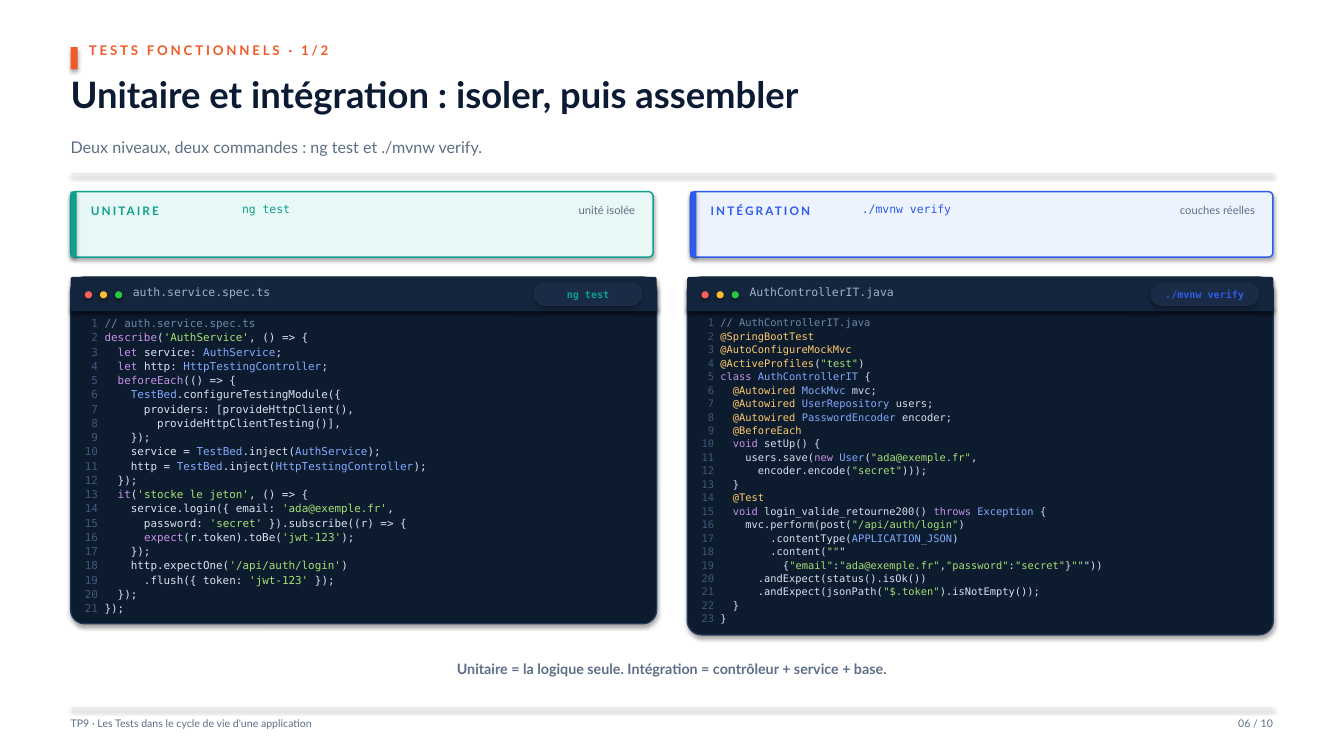
"""Build the slide comparing unit tests and integration tests."""
import dataclasses
import itertools
import typing

import pptx
import pptx.dml.color
import pptx.enum.shapes
import pptx.enum.text
import pptx.shapes.autoshape
import pptx.slide
import pptx.text.text
import pptx.util

Cm = pptx.util.Cm
RGB = pptx.dml.color.RGBColor
Align = pptx.enum.text.PP_ALIGN
Anchor = pptx.enum.text.MSO_ANCHOR
Box = tuple[float, float, float, float]

WHITE, ORANGE = RGB(0xFF, 0xFF, 0xFF), RGB(0xF0, 0x5A, 0x28)
NAVY, SLATE, RULE = RGB(0x0B, 0x1B, 0x33), RGB(0x5D, 0x6E, 0x86), RGB(0xDC, 0xE5, 0xF2)
TEAL, TEAL_TINT = RGB(0x0E, 0x9F, 0x8E), RGB(0xE8, 0xF8, 0xF6)
BLUE, BLUE_TINT = RGB(0x2F, 0x5B, 0xEA), RGB(0xED, 0xF3, 0xFE)
EDITOR, EDITOR_EDGE = RGB(0x0D, 0x1B, 0x2E), RGB(0x23, 0x39, 0x5A)
TITLE_BAR, PILL, FILE_NAME = RGB(0x14, 0x26, 0x3D), RGB(0x1A, 0x2C, 0x45), RGB(0x9D, 0xB2, 0xCE)
DOTS = (RGB(0xFF, 0x5F, 0x57), RGB(0xFE, 0xBC, 0x2E), RGB(0x28, 0xC8, 0x40))
LINE_NUMBER, COMMENT, PLAIN = RGB(0x40, 0x57, 0x7A), RGB(0x6F, 0x86, 0xA6), RGB(0xD7, 0xE3, 0xF4)
KEYWORD, TYPE = RGB(0xC7, 0x92, 0xEA), RGB(0x82, 0xAA, 0xFF)
STRING, ANNOTATION = RGB(0xA5, 0xE0, 0x75), RGB(0xFF, 0xCB, 0x6B)

KEYWORDS = {"describe", "let", "beforeEach", "it", "expect", "class", "void", "new", "throws"}
SANS, MONO = "Lato", "DejaVu Sans Mono"
MARGIN, CONTENT_WIDTH = 1.78, 30.3
CARD_TOP, CARD_WIDTH, CARD_HEIGHT = 4.83, 14.68, 1.65
EDITOR_TOP, EDITOR_WIDTH, PADDING = 6.98, 14.77, 0.36

UNIT_CODE = """// auth.service.spec.ts
describe('AuthService', () => {
  let service: AuthService;
  let http: HttpTestingController;
  beforeEach(() => {
    TestBed.configureTestingModule({
      providers: [provideHttpClient(),
        provideHttpClientTesting()],
    });
    service = TestBed.inject(AuthService);
    http = TestBed.inject(HttpTestingController);
  });
  it('stocke le jeton', () => {
    service.login({ email: 'ada@exemple.fr',
      password: 'secret' }).subscribe((r) => {
      expect(r.token).toBe('jwt-123');
    });
    http.expectOne('/api/auth/login')
      .flush({ token: 'jwt-123' });
  });
});"""

INTEGRATION_CODE = '''// AuthControllerIT.java
@SpringBootTest
@AutoConfigureMockMvc
@ActiveProfiles("test")
class AuthControllerIT {
  @Autowired MockMvc mvc;
  @Autowired UserRepository users;
  @Autowired PasswordEncoder encoder;
  @BeforeEach
  void setUp() {
    users.save(new User("ada@exemple.fr",
      encoder.encode("secret")));
  }
  @Test
  void login_valide_retourne200() throws Exception {
    mvc.perform(post("/api/auth/login")
        .contentType(APPLICATION_JSON)
        .content("""
          {"email":"ada@exemple.fr","password":"secret"}"""))
      .andExpect(status().isOk())
      .andExpect(jsonPath("$.token").isNotEmpty());
  }
}'''


@dataclasses.dataclass(frozen=True)
class Level:
    label: str
    command: str
    note: str
    accent: RGB
    tint: RGB
    card_left: float
    editor_left: float
    editor_height: float
    file_name: str
    code: str
    quote: str
    code_size: float
    line_pitch: float
    code_width: float


LEVELS = (
    Level("UNITAIRE", "ng test", "unité isolée", TEAL, TEAL_TINT, MARGIN, MARGIN, 8.74,
          "auth.service.spec.ts", UNIT_CODE, "'", 7.8, 10.2, 8.7),
    Level("INTÉGRATION", "./mvnw verify", "couches réelles", BLUE, BLUE_TINT, 17.4, 17.32, 9.02,
          "AuthControllerIT.java", INTEGRATION_CODE, '"', 7.4, 9.6, 10.2),
)


def add_block(slide: pptx.slide.Slide, box: Box, fill: RGB, radius: float | None = None,
              edge: RGB | None = None, edge_width: float = 1) -> pptx.shapes.autoshape.Shape:
    kinds = pptx.enum.shapes.MSO_SHAPE
    kind = kinds.RECTANGLE if radius is None else kinds.ROUNDED_RECTANGLE
    block = slide.shapes.add_shape(kind, *map(Cm, box))
    if radius is not None:
        block.adjustments[0] = radius
    block.fill.solid()
    block.fill.fore_color.rgb = fill
    if edge is None:
        block.line.fill.background()
    else:
        block.line.color.rgb = edge
        block.line.width = pptx.util.Pt(edge_width)
    return block


def add_frame(slide: pptx.slide.Slide, box: Box, **options: typing.Any) -> pptx.text.text.TextFrame:
    frame = slide.shapes.add_textbox(*map(Cm, box)).text_frame
    layout = {"margin_left": 0, "margin_top": 0, "margin_right": 0, "margin_bottom": 0,
              "word_wrap": True, "vertical_anchor": Anchor.TOP,
              "auto_size": pptx.enum.text.MSO_AUTO_SIZE.SHAPE_TO_FIT_TEXT}
    for name, value in (layout | options).items():
        setattr(frame, name, value)
    return frame


def add_run(paragraph: pptx.text.text._Paragraph, text: str, size: float, color: RGB,
            font: str = SANS, bold: bool = False, tracking: float = 0) -> None:
    run = paragraph.add_run()
    run.text = text
    for name, value in {"name": font, "size": pptx.util.Pt(size), "bold": bold}.items():
        setattr(run.font, name, value)
    run.font.color.rgb = color
    if tracking:
        run.font._element.set("spc", str(round(tracking * 100)))


def add_label(slide: pptx.slide.Slide, box: Box, text: str, size: float, color: RGB,
              align: Align = Align.LEFT, anchor: Anchor = Anchor.TOP, **style: typing.Any) -> None:
    paragraph = add_frame(slide, box, vertical_anchor=anchor).paragraphs[0]
    paragraph.alignment = align
    add_run(paragraph, text, size, color, **style)


def word_color(word: str) -> RGB:
    if word in KEYWORDS:
        return KEYWORD
    if word.startswith("@"):
        return ANNOTATION
    return TYPE if word[0].isupper() else PLAIN


def highlight(line: str, quote: str) -> list[tuple[str, RGB]]:
    if line.startswith("//"):
        return [(line, COMMENT)]
    tokens: list[tuple[str, RGB]] = []
    pieces = line.split(quote)
    for index, piece in enumerate(pieces):
        if index % 2 and index < len(pieces) - 1:
            tokens.append((quote + piece + quote, STRING))
            continue
        plain = quote + piece if index % 2 else piece
        for _, letters in itertools.groupby(plain, lambda c: c.isalnum() or c in "_@"):
            word = "".join(letters)
            tokens.append((word, word_color(word)))
    return [("".join(text for text, _ in group), color)
            for color, group in itertools.groupby(tokens, lambda token: token[1])]


def add_card(slide: pptx.slide.Slide, level: Level) -> None:
    left, top = level.card_left, CARD_TOP + 0.3
    add_block(slide, (left, CARD_TOP, CARD_WIDTH, CARD_HEIGHT), level.tint, 0.07, level.accent)
    add_block(slide, (left, CARD_TOP, 0.15, CARD_HEIGHT), level.accent)
    add_label(slide, (left + 0.51, top, 3.81, 0.36), level.label, 8.4, level.accent,
              bold=True, tracking=1.5)
    add_label(slide, (left + 4.32, top - 0.05, 6.6, 0.36), level.command, 8.2,
              level.accent, font=MONO)
    add_label(slide, (left + 9.91, top, 4.32, 0.33), level.note, 8, SLATE, Align.RIGHT)


def add_editor(slide: pptx.slide.Slide, level: Level) -> None:
    left, top, inner = level.editor_left, EDITOR_TOP, level.editor_left + PADDING
    add_block(slide, (left, top, EDITOR_WIDTH, level.editor_height), EDITOR, 0.04,
              EDITOR_EDGE, 0.91)
    add_block(slide, (left, top, EDITOR_WIDTH, 0.86), TITLE_BAR, 0.06)
    add_block(slide, (left, top + 0.71, EDITOR_WIDTH, 0.15), TITLE_BAR)
    for index, color in enumerate(DOTS):
        add_block(slide, (inner + index * 0.38, top + 0.36, 0.18, 0.18), color, 0.5)
    add_label(slide, (left + 1.57, top + 0.2, 10.08, 0.36), level.file_name, 8.2, FILE_NAME,
              font=MONO)
    pill_left = left + EDITOR_WIDTH - PADDING - 2.74
    add_block(slide, (pill_left, top + 0.15, 2.74, 0.58), PILL, 0.5)
    add_label(slide, (pill_left, top + 0.28, 2.74, 0.3), level.command, 7.2, level.accent,
              Align.CENTER, Anchor.MIDDLE, font=MONO, bold=True)
    lines = level.code.splitlines()
    height = pptx.util.Pt(level.line_pitch * len(lines)).cm
    frame = add_frame(slide, (inner, top + 0.97, level.code_width, height), word_wrap=False)
    for number, line in enumerate(lines, 1):
        paragraph = frame.paragraphs[0] if number == 1 else frame.add_paragraph()
        paragraph.line_spacing = pptx.util.Pt(level.line_pitch)
        for text, color in [(f"{number:>2} ", LINE_NUMBER), *highlight(line, level.quote)]:
            add_run(paragraph, text, level.code_size, color, MONO)


def main() -> None:
    deck = pptx.Presentation()
    deck.slide_width, deck.slide_height = Cm(33.87), Cm(19.05)
    slide = deck.slides.add_slide(deck.slide_layouts[6])
    add_block(slide, (0, 0, 33.87, 19.05), WHITE)
    add_block(slide, (MARGIN, 1.19, 0.18, 0.56), ORANGE)
    add_label(slide, (2.24, 1.07, 24.13, 0.41), "TESTS FONCTIONNELS · 1/2", 9.5, ORANGE,
              bold=True, tracking=2)
    add_label(slide, (MARGIN, 1.83, CONTENT_WIDTH, 1.09),
              "Unitaire et intégration : isoler, puis assembler", 26, NAVY, bold=True)
    add_label(slide, (MARGIN, 3.46, CONTENT_WIDTH, 0.48),
              "Deux niveaux, deux commandes : ng test et ./mvnw verify.", 11.5, SLATE)
    for rule_top in (4.37, 17.83):
        add_block(slide, (MARGIN, rule_top, CONTENT_WIDTH, 0.02), RULE)
    add_label(slide, (MARGIN, 18.06, 20.32, 0.33),
              "TP9 · Les Tests dans le cycle de vie d'une application", 7.5, SLATE)
    add_label(slide, (29.03, 18.06, 3.05, 0.33), "06 / 10", 7.5, SLATE, Align.RIGHT)
    for level in LEVELS:
        add_card(slide, level)
        add_editor(slide, level)
    add_label(slide, (MARGIN, 16.64, CONTENT_WIDTH, 0.43),
              "Unitaire = la logique seule. Intégration = contrôleur + service + base.",
              10.2, SLATE, Align.CENTER, bold=True)
    deck.save("out.pptx")


if __name__ == "__main__":
    main()
